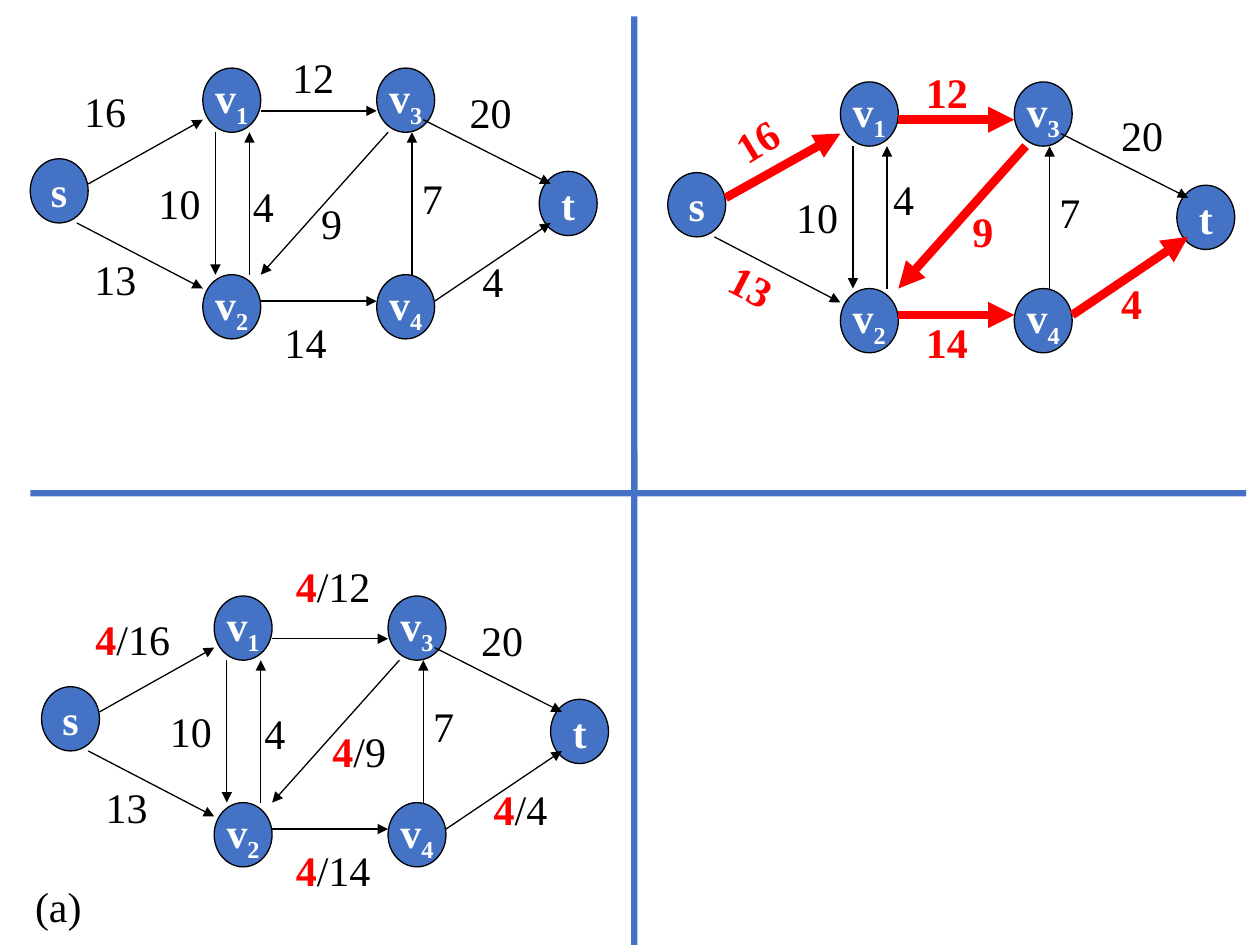
from dataclasses import dataclass, field
from typing import NamedTuple

import pptx
import pptx.dml.color
import pptx.enum.shapes
import pptx.enum.text
import pptx.oxml
import pptx.oxml.ns
import pptx.util

Inches = pptx.util.Inches
Point = tuple[float, float]


def color(code: str) -> pptx.dml.color.RGBColor:
    return pptx.dml.color.RGBColor.from_string(code)


@dataclass(frozen=True)
class Theme:
    font: str = "Times New Roman"
    size: float = 24
    blue: str = "4472C4"
    black: str = "000000"
    white: str = "FFFFFF"
    red: str = "FF0000"
    thin: float = 0.75
    thick: float = 5


THEME = Theme()
NODE = (0.46, 0.51)
HIGH = 0.5


class Node(NamedTuple):
    name: str
    sub: str
    spot: Point


class Arc(NamedTuple):
    """An edge; start, end and label spot are relative to its graph."""
    start: Point
    end: Point
    cap: str
    spot: Point
    wide: float = 0


class Label(NamedTuple):
    spot: Point
    turn: float = 0


@dataclass(frozen=True)
class Graph:
    left: float
    top: float
    rise: float = 0
    hot: tuple[str, ...] = ()
    red: tuple[str, ...] = ()
    flow: dict[str, str] = field(default_factory=dict)
    moved: dict[str, Label] = field(default_factory=dict)


NODES = [
    Node("s", "", (0, 0.72)),
    Node("v", "1", (1.37, 0)),
    Node("v", "2", (1.37, 1.64)),
    Node("v", "3", (2.75, 0)),
    Node("v", "4", (2.75, 1.64)),
    Node("t", "", (4.04, 0.82)),
]
ARCS = {
    "s1": Arc((0.46, 0.92), (1.37, 0.41), "16", (0.33, 0.09)),
    "s2": Arc((0.37, 1.23), (1.37, 1.75), "13", (0.41, 1.42)),
    "13": Arc((1.83, 0.34), (2.75, 0.34), "12", (1.98, -0.18)),
    "12": Arc((1.47, 0.51), (1.47, 1.64), "10", (0.92, 0.82)),
    "21": Arc((1.74, 1.64), (1.74, 0.51), "4", (1.67, 0.84)),
    "32": Arc((2.84, 0.51), (1.83, 1.64), "9", (2.21, 0.98), 0.64),
    "43": Arc((3.03, 1.64), (3.03, 0.51), "7", (3.01, 0.78)),
    "24": Arc((1.83, 1.85), (2.75, 1.85), "14", (1.92, 1.92)),
    "3t": Arc((3.12, 0.41), (4.13, 0.92), "20", (3.39, 0.1)),
    "4t": Arc((3.21, 1.85), (4.13, 1.23), "4", (3.49, 1.44)),
}
ROUTE = ("s1", "13", "32", "24", "4t")
GRAPHS = [
    Graph(0.24, 0.54),
    Graph(5.3, 0.65, rise=0.04, hot=ROUTE, red=ROUTE + ("s2",), moved={
        "s1": Label((0.44, 0.21), 328.7),
        "s2": Label((0.4, 1.37), 27.4),
        "13": Label((1.95, -0.17)),
        "21": Label((1.69, 0.68)),
        "32": Label((2.32, 0.93)),
        "24": Label((1.95, 1.81)),
        "3t": Label((3.5, 0.17)),
        "4t": Label((3.5, 1.5)),
    }),
    Graph(0.33, 4.73, flow=dict.fromkeys(ROUTE, "4"),
          moved={"13": Label((1.92, -0.33))}),
]
BARS = [
    (0.24, 3.89, 9.65, 0.05),
    (5.01, 0.13, 0.05, 3.76),
    (5.01, 3.58, 0.05, 3.92),
]


def add_run(para, text: str, ink: str, bold: bool = False):
    run = para.add_run()
    run.text = text
    run.font.name = THEME.font
    run.font.size = pptx.util.Pt(THEME.size)
    run.font.bold = bold
    run.font.color.rgb = color(ink)
    return run


def add_text(shapes, spot: Point, wide: float, runs: list[tuple[str, str, bool]],
             turn: float = 0) -> None:
    box = shapes.add_textbox(*map(Inches, (*spot, wide, HIGH)))
    box.rotation = turn
    box.text_frame.word_wrap = False
    for text, ink, bold in runs:
        add_run(box.text_frame.paragraphs[0], text, ink, bold)


def add_solid(shapes, kind, area: tuple[float, ...]):
    shape = shapes.add_shape(kind, *map(Inches, area))
    shape.shadow.inherit = False
    shape.fill.solid()
    shape.fill.fore_color.rgb = color(THEME.blue)
    shape.line.fill.background()
    return shape


def add_node(shapes, node: Node, spot: Point) -> None:
    oval = add_solid(shapes, pptx.enum.shapes.MSO_SHAPE.OVAL, (*spot, *NODE))
    oval.line.color.rgb = color(THEME.black)
    oval.line.width = pptx.util.Pt(THEME.thin)
    frame = oval.text_frame
    frame.word_wrap = False
    frame.vertical_anchor = pptx.enum.text.MSO_ANCHOR.MIDDLE
    para = frame.paragraphs[0]
    para.alignment = pptx.enum.text.PP_ALIGN.CENTER
    add_run(para, node.name, THEME.white, True)
    if node.sub:
        sub = add_run(para, node.sub, THEME.white, True)
        sub.font._element.set("baseline", "-25000")


def add_arrow(shapes, start: Point, end: Point, hot: bool) -> None:
    kind = pptx.enum.shapes.MSO_CONNECTOR.STRAIGHT
    arrow = shapes.add_connector(kind, *map(Inches, (*start, *end)))
    arrow.line.color.rgb = color(THEME.red if hot else THEME.black)
    arrow.line.width = pptx.util.Pt(THEME.thick if hot else THEME.thin)
    line = arrow.line._get_or_add_ln()
    tip = pptx.oxml.ns.qn("a:tailEnd")
    line.append(line.makeelement(tip, {"type": "triangle"}))
    props = arrow._element.spPr
    props.append(props.makeelement(pptx.oxml.ns.qn("a:effectLst"), {}))


def add_label(shapes, graph: Graph, key: str, arc: Arc) -> None:
    flow = graph.flow.get(key, "")
    red = key in graph.red
    runs = [(flow, THEME.red, True)] if flow else []
    cap = f"/{arc.cap}" if flow else arc.cap
    runs.append((cap, THEME.red if red else THEME.black, red))
    wide = 0.2 + sum(0.09 if sign == "/" else 0.17 for sign in flow + cap)
    place = graph.moved.get(key, Label(arc.spot))
    add_text(shapes, shift(graph, place.spot), max(wide, arc.wide), runs, place.turn)


def shift(graph: Graph, spot: Point) -> Point:
    return graph.left + spot[0], graph.top + spot[1]


def add_graph(slide, graph: Graph) -> None:
    shapes = slide.shapes.add_group_shape().shapes
    for node in NODES:
        add_node(shapes, node, shift(graph, node.spot))
    for key, arc in ARCS.items():
        rise = graph.rise if key == "13" else 0
        ends = [shift(graph, (x, y - rise)) for x, y in (arc.start, arc.end)]
        add_arrow(shapes, *ends, key in graph.hot)
    for key, arc in ARCS.items():
        add_label(shapes, graph, key, arc)


def main() -> None:
    deck = pptx.Presentation()
    deck.slide_width, deck.slide_height = Inches(10), Inches(7.5)
    slide = deck.slides.add_slide(deck.slide_layouts[6])
    for graph in GRAPHS:
        add_graph(slide, graph)
    for bar in BARS:
        add_solid(slide.shapes, pptx.enum.shapes.MSO_SHAPE.RECTANGLE, bar)
    add_text(slide.shapes, (0.18, 6.94), 0.57, [("(a)", THEME.black, False)])
    deck.save("out.pptx")


if __name__ == "__main__":
    main()
